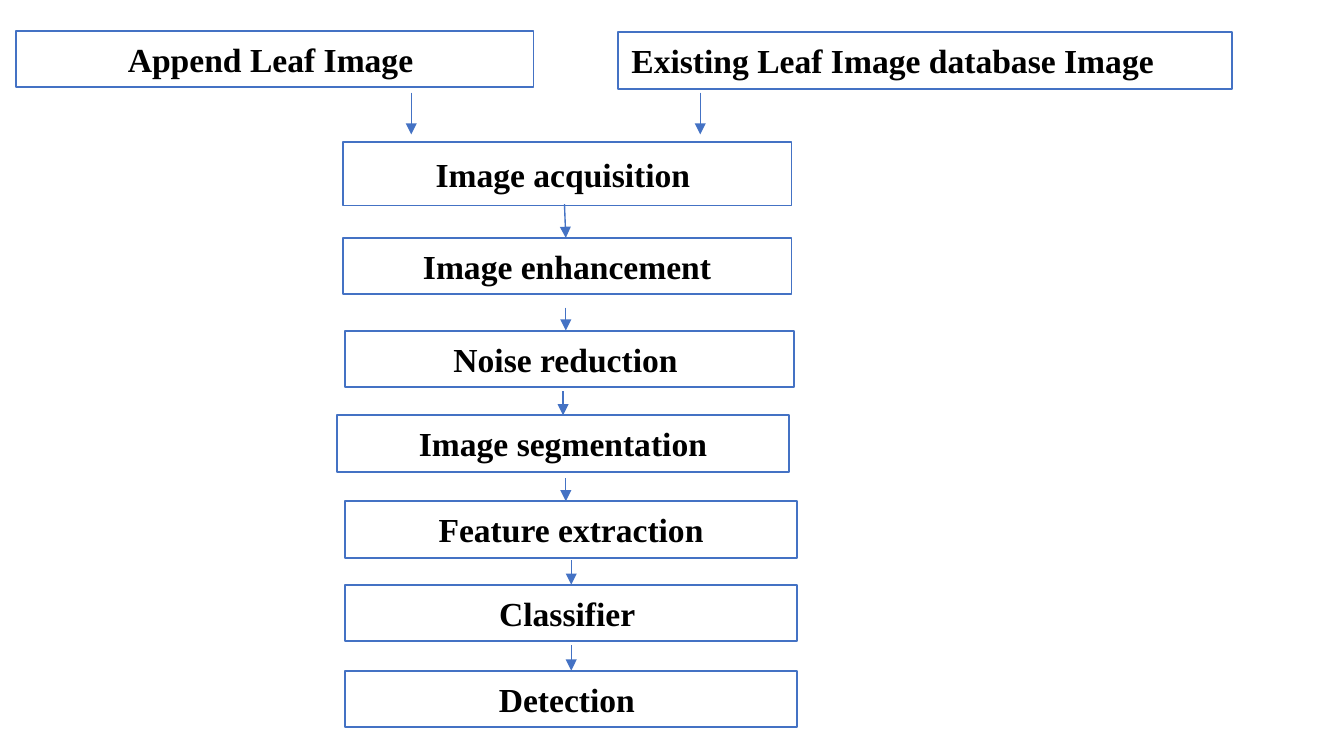
from pptx import Presentation
from pptx.util import Inches, Pt
from pptx.dml.color import RGBColor
from pptx.enum.shapes import MSO_SHAPE, MSO_CONNECTOR
from pptx.enum.text import PP_ALIGN, MSO_ANCHOR
from pptx.oxml.ns import qn
from lxml.etree import SubElement

# Widescreen slide on a grid of square cells
WIDE = Inches(10)
HIGH = WIDE * 9 // 16
COLS, ROWS = 100, 56.25
BLUE, WHITE, BLACK = "4472C4", "FFFFFF", "000000"


def px(cols):
    return round(WIDE * cols / COLS)


def py(rows):
    return round(HIGH * rows / ROWS)


def tint(code):
    return RGBColor.from_string(code)


def write(shape, text, size=18, font="Times New Roman", color=BLACK,
          bold=True, align=PP_ALIGN.CENTER):
    frame = shape.text_frame
    frame.word_wrap = True
    frame.vertical_anchor = MSO_ANCHOR.MIDDLE
    para = frame.paragraphs[0]
    para.alignment = align
    run = para.add_run()
    run.text = text
    run.font.size, run.font.name, run.font.bold = Pt(size), font, bold
    run.font.color.rgb = tint(color)


def add_box(slide, left, top, width, height, text, **style):
    shape = slide.shapes.add_shape(
        MSO_SHAPE.RECTANGLE, px(left), py(top), px(width), py(height))
    shape.shadow.inherit = False
    shape.fill.solid()
    shape.fill.fore_color.rgb = tint(WHITE)
    shape.line.color.rgb = tint(BLUE)
    shape.line.width = Pt(1)
    write(shape, text, **style)


def add_arrow(slide, x1, y1, x2, y2):
    line = slide.shapes.add_connector(
        MSO_CONNECTOR.STRAIGHT, px(x1), py(y1), px(x2), py(y2))
    line.line.color.rgb = tint(BLUE)
    line.line.width = Pt(0.75)
    SubElement(line.line._get_or_add_ln(), qn("a:tailEnd"), type="triangle")
    SubElement(line._element.spPr, qn("a:effectLst"))


# Two image sources, each with an arrow leading down
def add_inputs(slide, left, top, width, height):
    parts = [
        # shift, drop, width, arrow shift, text, alignment
        (0, 0, 38.5, 29.4, "Append Leaf Image ", PP_ALIGN.CENTER),
        (44.8, 0.1, width - 44.8, 50.9, "Existing Leaf Image database Image",
         PP_ALIGN.LEFT),
    ]
    for shift, drop, wide, stem, text, align in parts:
        add_box(slide, left + shift, top + drop, wide, 4.2, text, align=align)
        add_arrow(slide, left + stem, top + height - 3.1,
                  left + stem, top + height)


# Column of steps, each entered by an arrow that ends on its top edge
def add_steps(slide, left, top, width, height):
    slim, broad = width - 0.8, width - 0.6
    steps = [
        # shift, drop, width, height, text, arrow (start, end, length)
        (0.4, 0, slim, 4.7, "Image acquisition ", None),
        (0.4, 7.1, slim, 4.2, "Image enhancement", (16.9, 17, 2.5)),
        (0.6, 14, slim, 4.2, "Noise reduction ", (17, 17, 1.7)),
        (0, 20.3, broad, 4.2, "Image segmentation", (16.8, 16.8, 1.8)),
        (0.6, 26.7, broad, 4.2, "Feature extraction", (17, 17, 1.7)),
        (0.6, 32.9, broad, 4.2, "Classifier ", (17.4, 17.4, 1.8)),
        (0.6, height - 4.2, broad, 4.2, "Detection ", (17.4, 17.4, 1.9)),
    ]
    for shift, drop, wide, high, text, arrow in steps:
        add_box(slide, left + shift, top + drop, wide, high, text)
        if arrow:
            start, end, size = arrow
            add_arrow(slide, left + start, top + drop - size,
                      left + end, top + drop)


def main():
    deck = Presentation()
    deck.slide_width, deck.slide_height = WIDE, HIGH
    slide = deck.slides.add_slide(deck.slide_layouts[6])
    add_inputs(slide, 1.2, 2.3, 90.5, 7.7)
    add_steps(slide, 25.1, 10.6, 34.2, 43.5)
    deck.save("out.pptx")


if __name__ == "__main__":
    main()
